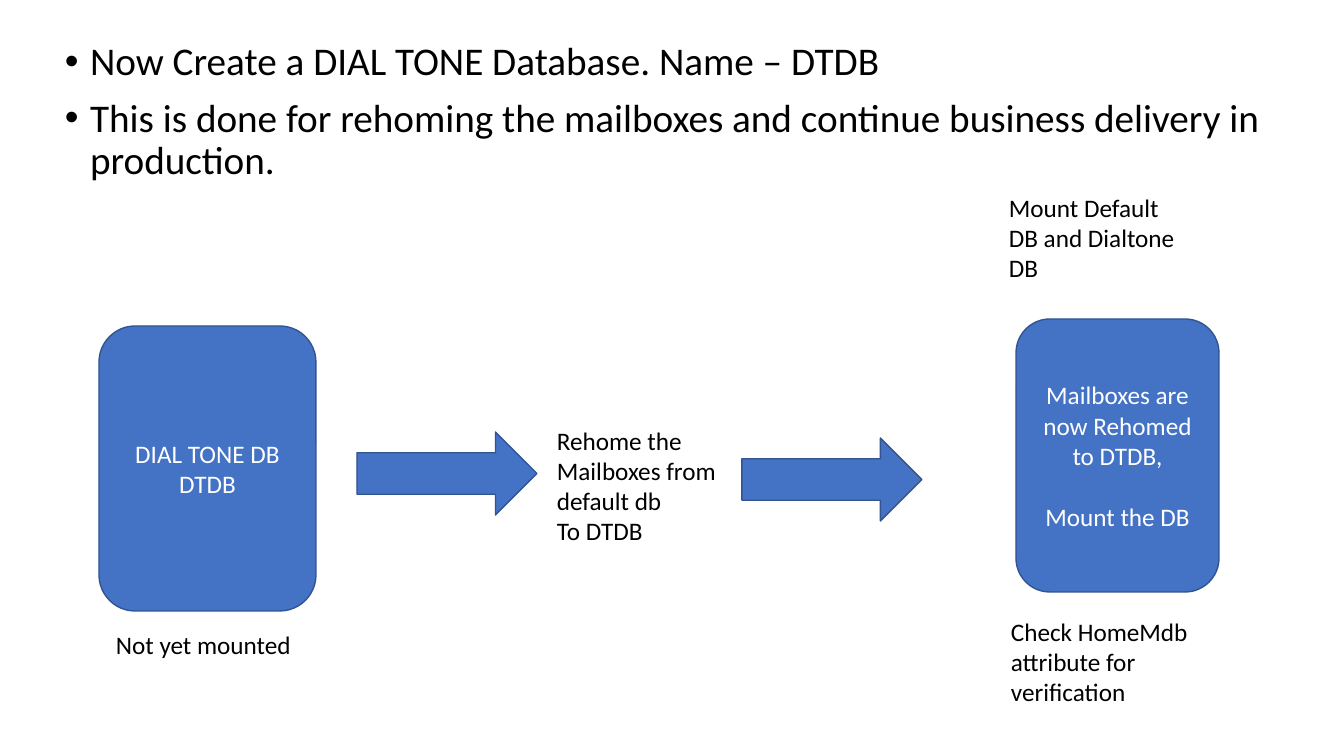
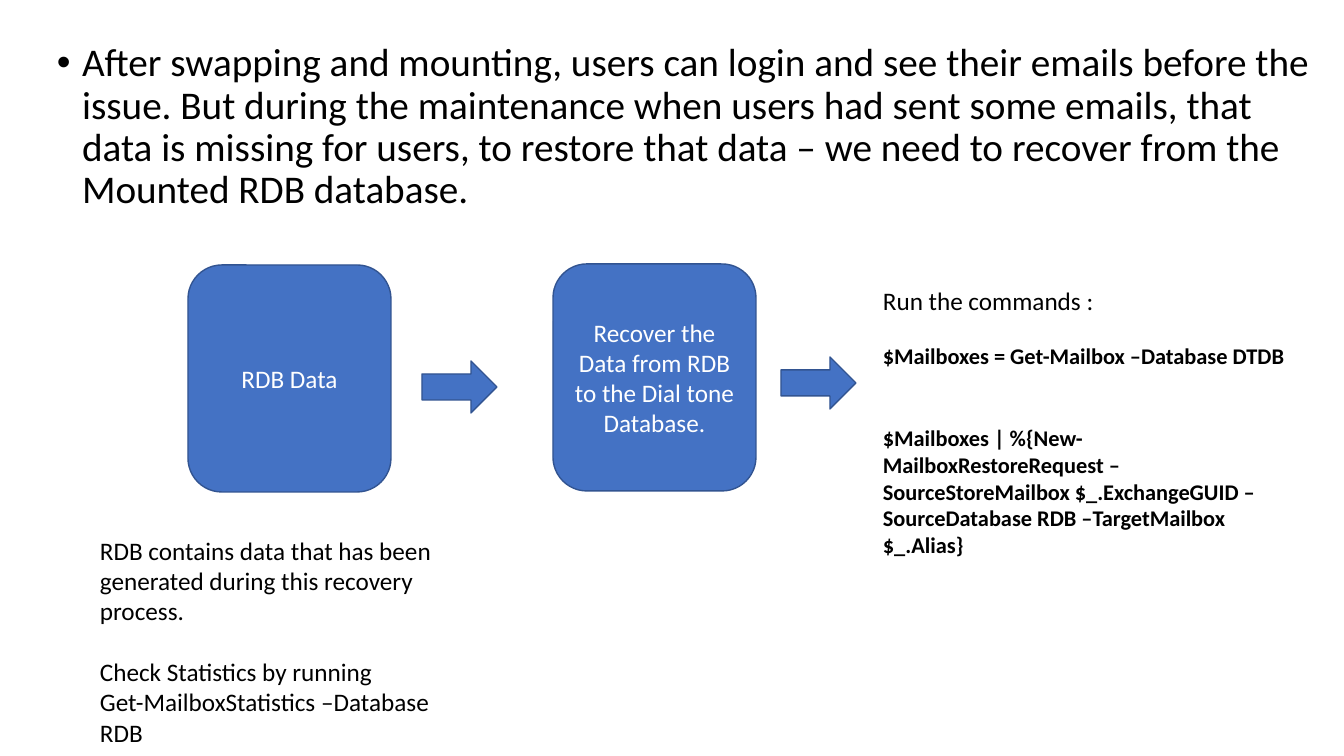
import pptx
import pptx.util
import pptx.dml.color
import pptx.enum.shapes
import pptx.enum.text
import pptx.oxml.ns
import lxml.etree

EMU_PER_PIXEL = 914400 / 100.8
COLORS = {"ink": "000000", "paper": "FFFFFF", "accent": "4472C4", "edge": "325491"}
FONT = "Calibri"
ALIGN = pptx.enum.text.PP_ALIGN
ANCHOR = pptx.enum.text.MSO_ANCHOR
FIT = pptx.enum.text.MSO_AUTO_SIZE
PRESETS = pptx.enum.shapes.MSO_SHAPE
LINE_GAP = pptx.util.Pt(22)
COMMAND_GAP = pptx.util.Pt(19.5)
COMMAND_FONT = {"size": pptx.util.Pt(16), "bold": True}
BULLET_FORMAT = {"line_spacing": 0.9, "space_before": pptx.util.Pt(10)}
BULLET_INDENT = pptx.util.Inches(0.25)


def px(*lengths):
    """Turn pixel lengths into EMU."""
    return [pptx.util.Emu(round(length * EMU_PER_PIXEL)) for length in lengths]


def color(name):
    """Look up a named colour."""
    return pptx.dml.color.RGBColor.from_string(COLORS[name])


def apply(target, values):
    """Set every attribute in a dict of format values."""
    for name, value in values.items():
        setattr(target, name, value)


def write(frame, paragraphs, ink, layout=None):
    """Fill a frame with (text, font values, paragraph values) entries."""
    frame.word_wrap = True
    for index, (text, font, spacing) in enumerate(paragraphs):
        paragraph = frame.add_paragraph() if index else frame.paragraphs[0]
        run = paragraph.add_run()
        run.text = text
        apply(run.font, {"name": FONT, "size": pptx.util.Pt(18)} | font)
        run.font.color.rgb = color(ink)
        apply(paragraph, (layout or {}) | spacing)


def line(text, gap=0, **font):
    """Describe one paragraph with an optional gap above it."""
    return text, font, {"space_before": gap}


def add_bullets(slide, box, texts):
    """Add the large bulleted statements at the top of a slide."""
    frame = slide.shapes.add_textbox(*px(*box)).text_frame
    statements = [(text, {"size": pptx.util.Pt(28)}, BULLET_FORMAT) for text in texts]
    write(frame, statements, "ink")
    for paragraph in frame.paragraphs:
        properties = paragraph._p.get_or_add_pPr()
        properties.set("marL", str(BULLET_INDENT))
        properties.set("indent", str(-BULLET_INDENT))
        for tag, key, value in (("a:buFont", "typeface", "Arial"), ("a:buChar", "char", "•")):
            lxml.etree.SubElement(properties, pptx.oxml.ns.qn(tag)).set(key, value)


def add_note(slide, box, paragraphs):
    """Add a plain text note."""
    frame = slide.shapes.add_textbox(*px(*box)).text_frame
    write(frame, paragraphs, "ink")
    frame.auto_size = FIT.SHAPE_TO_FIT_TEXT


def add_block(slide, preset, box):
    """Add a preset shape in the accent style."""
    block = slide.shapes.add_shape(preset, *px(*box))
    block.shadow.inherit = False
    block.fill.solid()
    block.fill.fore_color.rgb = color("accent")
    block.line.color.rgb = color("edge")
    block.line.width = pptx.util.Pt(1)
    return block


def add_stage(slide, box, paragraphs):
    """Add a rounded stage with centred text."""
    frame = add_block(slide, PRESETS.ROUNDED_RECTANGLE, box).text_frame
    frame.vertical_anchor = ANCHOR.MIDDLE
    write(frame, paragraphs, "paper", {"alignment": ALIGN.CENTER})


def add_arrows(slide, size, corners):
    """Add equal arrows at the given top left corners."""
    for corner in corners:
        add_block(slide, PRESETS.RIGHT_ARROW, corner + size)


def add_slide(deck):
    """Add a blank slide with the shared background."""
    slide = deck.slides.add_slide(deck.slide_layouts[6])
    slide.background.fill.solid()
    slide.background.fill.fore_color.rgb = color("paper")
    return slide


def build_dial_tone(slide):
    """Show the move of mailboxes to the dial tone database."""
    add_bullets(slide, (55, 37, 1258, 688), [
        "Now Create a DIAL TONE Database. Name – DTDB",
        "This is done for rehoming the mailboxes and continue business delivery in production.",
    ])
    add_stage(slide, (99, 326, 217, 285), [line("DIAL TONE DB"), line("DTDB")])
    add_note(slide, (106, 624, 209, 40), [line("Not yet mounted")])
    add_arrows(slide, (180, 83), [(357, 432), (742, 438)])
    add_note(slide, (547, 420, 192, 132), [
        line("Rehome the Mailboxes from default db"), line("To DTDB")])
    add_stage(slide, (1016, 319, 203, 273), [
        line("Mailboxes are now Rehomed to DTDB,"), line("Mount the DB", LINE_GAP)])
    add_note(slide, (1001, 611, 203, 102), [line("Check HomeMdb attribute for verification")])
    add_note(slide, (999, 187, 192, 102), [line("Mount Default DB and Dialtone DB")])


def build_recovery(slide):
    """Show the recovery of data from the mounted database."""
    add_bullets(slide, (47, 38, 1272, 697), [
        "After swapping and mounting, users can login and see their emails before the issue. "
        "But during the maintenance when users had sent some emails, that data is missing for "
        "users, to restore that data – we need to recover from the Mounted RDB database.",
    ])
    add_stage(slide, (188, 265, 203, 227), [line("RDB Data")])
    add_note(slide, (90, 530, 390, 224), [
        line("RDB contains data that has been generated during this recovery process."),
        line("Check Statistics by running", LINE_GAP),
        line("Get-MailboxStatistics –Database RDB"),
    ])
    add_arrows(slide, (75, 52), [(422, 361), (781, 357)])
    add_stage(slide, (553, 264, 203, 227), [
        line("Recover the Data from RDB to the Dial tone Database.")])
    add_note(slide, (873, 280, 427, 285), [
        line("Run the commands :"),
        line("$Mailboxes = Get-Mailbox –Database DTDB", COMMAND_GAP, **COMMAND_FONT),
        line("$Mailboxes | %{New-MailboxRestoreRequest –SourceStoreMailbox $_.ExchangeGUID "
             "–SourceDatabase RDB –TargetMailbox $_.Alias}", 2 * COMMAND_GAP, **COMMAND_FONT),
    ])


def main():
    """Build and save the deck."""
    deck = pptx.Presentation()
    deck.slide_width, deck.slide_height = px(1344, 756)
    for build in (build_dial_tone, build_recovery):
        build(add_slide(deck))
    deck.save("out.pptx")


main()
